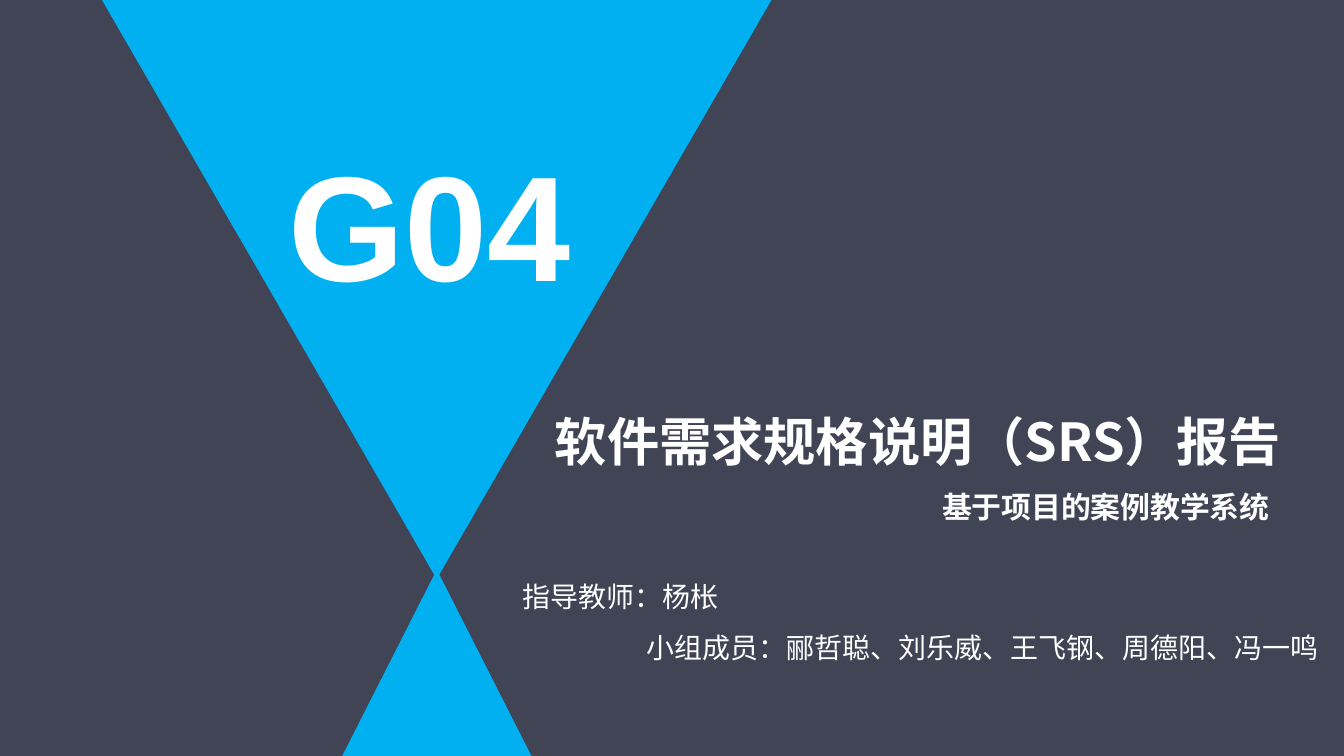
from lxml import etree
from pptx import Presentation
from pptx.dml.color import RGBColor
from pptx.enum.shapes import MSO_SHAPE
from pptx.enum.text import MSO_ANCHOR, PP_ALIGN
from pptx.oxml.ns import qn
from pptx.util import Pt

TRIANGLE = MSO_SHAPE.ISOSCELES_TRIANGLE
MIDDLE, TOP = MSO_ANCHOR.MIDDLE, MSO_ANCHOR.TOP
LEFT, RIGHT = PP_ALIGN.LEFT, PP_ALIGN.RIGHT

COLORS = {"background": "414455", "accent": "00B0F0", "text": "FFFFFF"}
CHINESE_FONT = "Noto Sans CJK SC"
LATIN_FONT = "Arial"
TITLE_ONLY = 5


def color(name):
    return RGBColor.from_string(COLORS[name])


def add_triangle(slide, left, top, width, height, rotation=0):
    triangle = slide.shapes.add_shape(TRIANGLE, Pt(left), Pt(top), Pt(width), Pt(height))
    triangle.rotation = rotation
    triangle.shadow.inherit = False
    triangle.fill.solid()
    triangle.fill.fore_color.rgb = color("accent")
    triangle.line.color.rgb = color("accent")
    triangle.line.width = Pt(2)


def place(shape, left, top, width, height):
    shape.left, shape.top = Pt(left), Pt(top)
    shape.width, shape.height = Pt(width), Pt(height)


def set_frame(frame, anchor=MIDDLE, side=5, edge=3):
    frame.word_wrap = True
    frame.vertical_anchor = anchor
    frame.margin_left = frame.margin_right = Pt(side)
    frame.margin_top = frame.margin_bottom = Pt(edge)


def write_line(paragraph, text, size, bold=False, font=CHINESE_FONT,
               align=LEFT, spacing=1.5):
    paragraph.alignment = align
    paragraph.line_spacing = spacing
    paragraph.space_before = Pt(0)
    run = paragraph.add_run()
    run.text = text
    run.font.size = Pt(size)
    run.font.bold = bold
    run.font.name = font
    run.font.color.rgb = color("text")
    # East Asian glyphs take their own typeface
    etree.SubElement(run.font._element, qn("a:ea")).set("typeface", font)


def add_text_box(slide, left, top, width, height, **frame_options):
    box = slide.shapes.add_textbox(Pt(left), Pt(top), Pt(width), Pt(height))
    set_frame(box.text_frame, **frame_options)
    return box.text_frame


def main():
    prs = Presentation()
    prs.slide_width, prs.slide_height = Pt(720), Pt(405)
    slide = prs.slides.add_slide(prs.slide_layouts[TITLE_ONLY])
    slide.background.fill.solid()
    slide.background.fill.fore_color.rgb = color("background")

    # Hourglass of two triangles
    add_triangle(slide, 55.4, -0.7, 357.1, 308.9, rotation=180)
    add_triangle(slide, 184.3, 307.4, 99.4, 97.9)

    # Teacher and group members
    people = add_text_box(slide, 275, 300.2, 436.3, 56.9)
    write_line(people.paragraphs[0], "指导教师：杨枨", 15)
    write_line(people.add_paragraph(), "小组成员：郦哲聪、刘乐威、王飞钢、周德阳、冯一鸣", 15,
               align=RIGHT)

    # Report title
    title = slide.shapes.title
    place(title, 292.3, 202.3, 419.8, 50.4)
    set_frame(title.text_frame)
    write_line(title.text_frame.paragraphs[0], "软件需求规格说明（SRS）报告", 28, bold=True)

    # Group number
    group = add_text_box(slide, 147.6, 67, 175.7, 104.4, anchor=TOP, side=7.2, edge=3.6)
    write_line(group.paragraphs[0], "G04", 80, bold=True, font=LATIN_FONT, spacing=1)

    # Project name
    project = add_text_box(slide, 499.7, 251.3, 215, 31)
    write_line(project.paragraphs[0], "基于项目的案例教学系统", 16, bold=True)

    prs.save("out.pptx")


if __name__ == "__main__":
    main()
